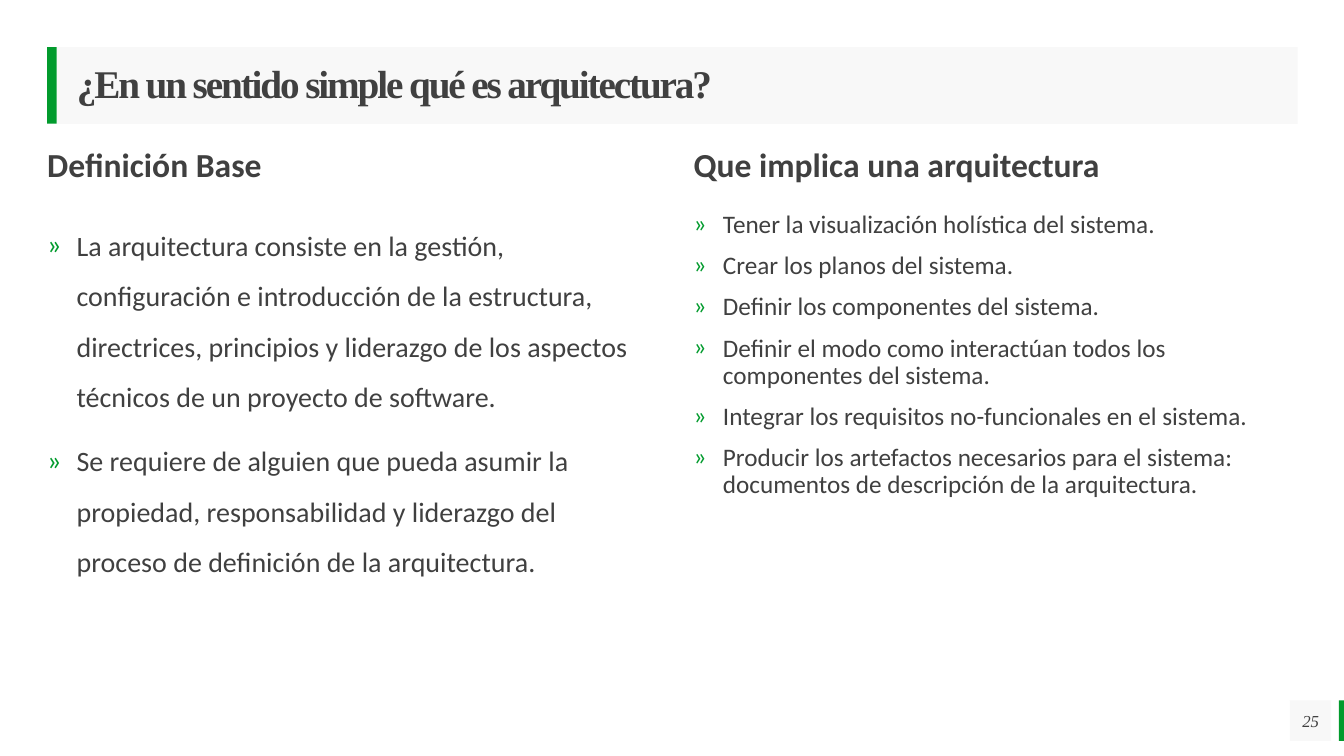
from lxml import etree
from pptx import Presentation
from pptx import util as u
from pptx.dml.color import RGBColor
from pptx.enum import shapes, text
from pptx.oxml.ns import qn

GREEN, GREY, INK = "029B2D", "F2F2F2", "404040"
TITLE = "¿En un sentido simple qué es arquitectura?"
PAGE_NUMBER = "25"
COLUMNS = [
    {
        "heading": "Definición Base",
        "left": 1.19, "width": 15.19, "size": 20, "line_spacing": 1.5,
        "items": [
            "La arquitectura consiste en la gestión, configuración e introducción de la "
            "estructura, directrices, principios y liderazgo de los aspectos técnicos de "
            "un proyecto de software.",
            "Se requiere de alguien que pueda asumir la propiedad, responsabilidad y "
            "liderazgo del proceso de definición de la arquitectura.",
        ],
    },
    {
        "heading": "Que implica una arquitectura",
        "left": 17.48, "width": 15.24, "size": 18, "line_spacing": 0.9,
        "items": [
            "Tener la visualización holística del sistema.",
            "Crear los planos del sistema.",
            "Definir los componentes del sistema.",
            "Definir el modo como interactúan todos los componentes del sistema.",
            "Integrar los requisitos no-funcionales en el sistema.",
            "Producir los artefactos necesarios para el sistema: documentos de "
            "descripción de la arquitectura.",
        ],
    },
]
BANNER_TOP, BANNER_HEIGHT = 1.19, 1.93
HEADING_TOP, HEADING_HEIGHT = 3.73, 0.99
LIST_TOP, LIST_HEIGHT = 5.33, 11.66
FOOTER_TOP, FOOTER_HEIGHT = 17.65, 1.02
INDENT = 0.74


def color(value):
    return RGBColor.from_string(value)


def assign(target, values):
    for name, value in values.items():
        setattr(target, name, value)


def place(box, left, top, width, height):
    sides = zip(("left", "top", "width", "height"), (left, top, width, height))
    assign(box, {name: u.Cm(value) for name, value in sides})


def paint(box, fill, opacity=None):
    box.fill.solid()
    box.fill.fore_color.rgb = color(fill)
    if opacity is not None:
        tint = box.fill._xPr.find(qn("a:solidFill"))[0]
        etree.SubElement(tint, qn("a:alpha"), val=str(opacity * 1000))


def add_block(page, left, top, width, height, fill, opacity=None):
    block = page.shapes.add_shape(
        shapes.MSO_SHAPE.RECTANGLE, *map(u.Cm, (left, top, width, height)))
    block.shadow.inherit = False
    block.line.fill.background()
    paint(block, fill, opacity)
    return block


def add_bullet(para):
    properties = para._p.get_or_add_pPr()
    properties.set("marL", str(u.Cm(INDENT)))
    properties.set("indent", str(-u.Cm(INDENT)))
    bullet_color = etree.SubElement(properties, qn("a:buClr"))
    etree.SubElement(bullet_color, qn("a:srgbClr"), val=GREEN)
    etree.SubElement(properties, qn("a:buFont"), typeface="Calibri")
    etree.SubElement(properties, qn("a:buChar"), char="»")


def write(box, lines, font, line_spacing=0.9, anchor=text.MSO_ANCHOR.TOP,
          align=text.PP_ALIGN.LEFT, inset=0, bullets=False):
    frame = box.text_frame
    assign(frame, {
        "word_wrap": True, "auto_size": text.MSO_AUTO_SIZE.NONE,
        "vertical_anchor": anchor, "margin_left": u.Cm(inset),
        "margin_top": 0, "margin_right": 0, "margin_bottom": 0,
    })
    for index, line in enumerate(lines):
        para = frame.add_paragraph() if index else frame.paragraphs[0]
        if bullets:
            add_bullet(para)
        assign(para, {
            "alignment": align, "line_spacing": line_spacing,
            "space_before": u.Pt(10 if index else 0), "space_after": u.Pt(0),
        })
        span = para.add_run()
        span.text = line
        assign(span.font, {"name": "Calibri", "bold": False, **font})
        span.font.color.rgb = color(INK)


deck = Presentation()
deck.slide_width, deck.slide_height = u.Cm(33.87), u.Cm(19.05)
page = deck.slides.add_slide(deck.slide_layouts.get_by_name("Comparison"))

add_block(page, 33.74, FOOTER_TOP, 0.13, FOOTER_HEIGHT, GREEN)
add_block(page, 1.19, BANNER_TOP, 0.24, BANNER_HEIGHT, GREEN)

title = page.shapes.title
place(title, 1.43, BANNER_TOP, 31.27, BANNER_HEIGHT)
paint(title, GREY, 50)
write(title, [TITLE], {"name": "Times New Roman", "size": u.Pt(28), "bold": True},
      anchor=text.MSO_ANCHOR.MIDDLE, inset=0.51)
title_span = title.text_frame.paragraphs[0].runs[0]
title_span.font._element.set("spc", "-150")

for number, column in enumerate(COLUMNS):
    heading = page.placeholders[1 + 2 * number]
    place(heading, column["left"], HEADING_TOP, column["width"], HEADING_HEIGHT)
    write(heading, [column["heading"]], {"size": u.Pt(24), "bold": True})

    points = page.placeholders[2 + 2 * number]
    place(points, column["left"], LIST_TOP, column["width"], LIST_HEIGHT)
    write(points, column["items"], {"size": u.Pt(column["size"])},
          line_spacing=column["line_spacing"], bullets=True)

number_box = add_block(page, 32.51, FOOTER_TOP, 1.04, FOOTER_HEIGHT, GREY, 50)
write(number_box, [PAGE_NUMBER],
      {"name": "Times New Roman", "size": u.Pt(12), "italic": True}, line_spacing=1.0,
      anchor=text.MSO_ANCHOR.MIDDLE, align=text.PP_ALIGN.CENTER)

deck.save("out.pptx")
